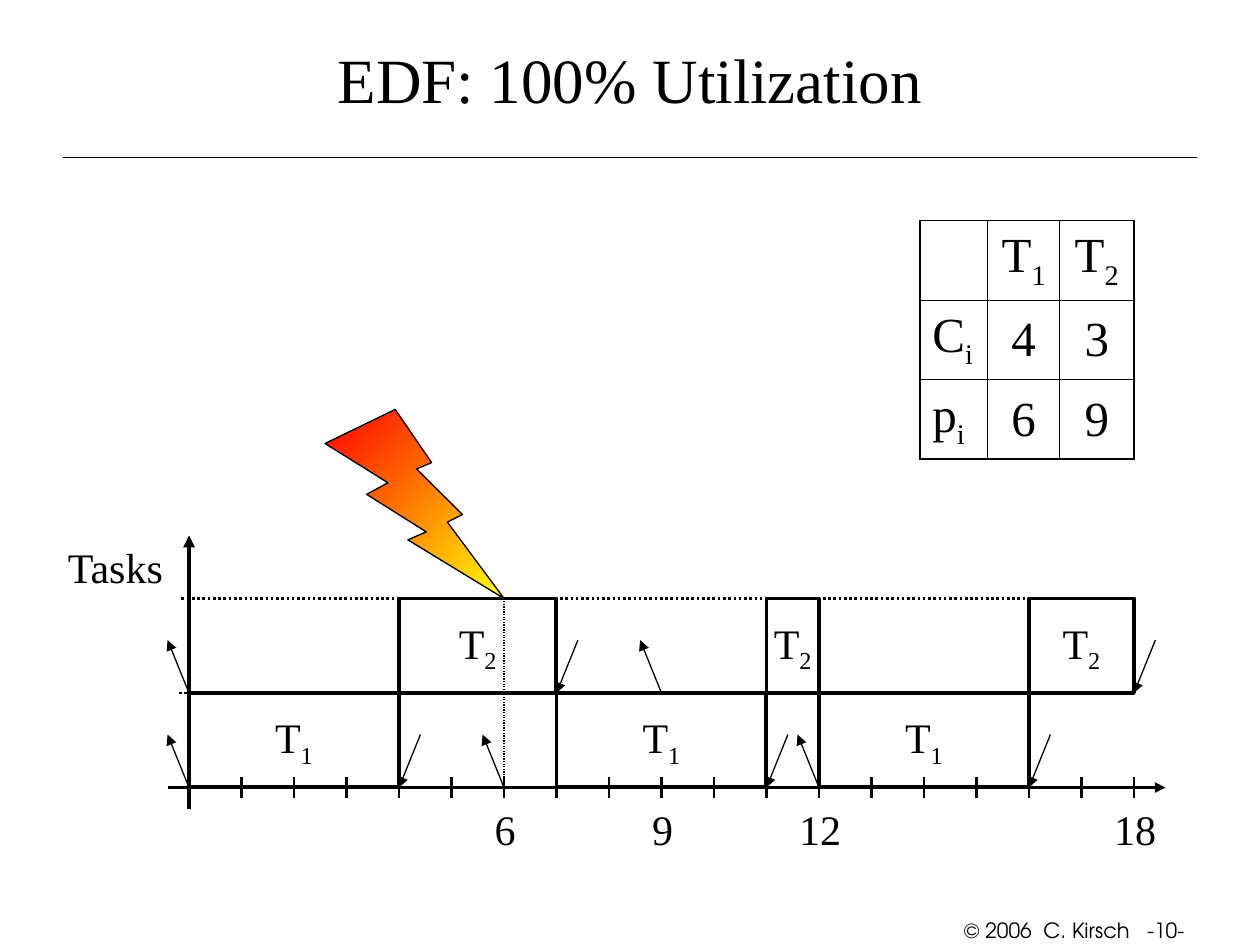
from lxml.etree import SubElement
from pptx import Presentation
from pptx.dml.color import RGBColor
from pptx.enum.dml import MSO_LINE
from pptx.enum.shapes import MSO_CONNECTOR, MSO_SHAPE
from pptx.enum.text import MSO_ANCHOR, PP_ALIGN
from pptx.oxml.ns import qn
from pptx.util import Inches, Pt

BLACK = RGBColor(0, 0, 0)
RED = RGBColor(255, 0, 0)
YELLOW = RGBColor(255, 255, 0)
SERIF = "Times New Roman"
SANS = "TeX Gyre Adventor"

# Content: an underscore marks the start of a subscript
TITLE = "EDF: 100% Utilization"
FOOTER = "© 2006  C. Kirsch   -10-"
PARAMETERS = [["", "T_1", "T_2"], ["C_i", "4", "3"], ["p_i", "6", "9"]]
COLUMN_WIDTHS = [0.54, 0.57, 0.59]
ROW_HEIGHT = 0.63
TASKS = {
    "T_1": {"base": 6.25, "runs": [(0, 4), (7, 11), (12, 16)],
            "releases": [0, 6, 12], "completions": [4, 11, 16]},
    "T_2": {"base": 5.5, "runs": [(4, 7), (11, 12), (16, 18)],
            "releases": [0, 9], "completions": [7, 18]},
}
TIME_LABELS = [6, 9, 12, 18]

# Time axis geometry
ORIGIN, AXIS_Y, LANE = 1.5, 6.25, 0.75
END_TIME = 18
UNIT = 7.5 / END_TIME
ARROW_WIDTH, ARROW_HEIGHT = 0.17, 0.42
LABEL_WIDTH = 0.7


def time_x(time):
    return ORIGIN + time * UNIT


def write(frame, text, size=24, font=SERIF, align=PP_ALIGN.CENTER,
          anchor=MSO_ANCHOR.TOP, wrap=False):
    frame.word_wrap = wrap
    frame.vertical_anchor = anchor
    para = frame.paragraphs[0]
    para.alignment = align
    for index, part in enumerate(text.split("_")):
        span = para.add_run()
        span.text = part
        span.font.size = Pt(size)
        span.font.name = font
        span.font.color.rgb = BLACK
        if index:
            span.font._element.set("baseline", "-25000")


def add_text(page, text, left, top, width, height, **style):
    box = page.shapes.add_textbox(Inches(left), Inches(top),
                                  Inches(width), Inches(height))
    write(box.text_frame, text, **style)


def add_line(page, start, end, width=0.75, arrow=False, dash=None):
    line = page.shapes.add_connector(
        MSO_CONNECTOR.STRAIGHT, *(Inches(value) for value in (*start, *end)))
    line.line.color.rgb = BLACK
    line.line.width = Pt(width)
    if dash:
        line.line.dash_style = dash
    properties = line._element.spPr
    if arrow:
        SubElement(properties.find(qn("a:ln")), qn("a:tailEnd"), type="triangle")
    SubElement(properties, qn("a:effectLst"))


def add_outline(page, kind, left, top, width, height, weight):
    shape = page.shapes.add_shape(kind, Inches(left), Inches(top),
                                  Inches(width), Inches(height))
    shape.shadow.inherit = False
    shape.fill.background()
    shape.line.color.rgb = BLACK
    shape.line.width = Pt(weight)
    return shape


def set_borders(cell, widths):
    properties = cell._tc.get_or_add_tcPr()
    for index, (tag, width) in enumerate(widths.items()):
        border = SubElement(properties, qn(f"a:{tag}"), w=str(Pt(width)))
        properties.insert(index, border)
        fill = SubElement(border, qn("a:solidFill"))
        SubElement(fill, qn("a:srgbClr"), val=str(BLACK))


def add_parameters(page, left, top):
    last = len(PARAMETERS) - 1
    table = page.shapes.add_table(
        last + 1, len(COLUMN_WIDTHS), Inches(left), Inches(top),
        Inches(sum(COLUMN_WIDTHS)), Inches(ROW_HEIGHT * (last + 1))).table
    table.first_row = table.horz_banding = False
    for column, width in zip(table.columns, COLUMN_WIDTHS):
        column.width = Inches(width)
    for r, row in enumerate(PARAMETERS):
        table.rows[r].height = Inches(ROW_HEIGHT)
        for c, text in enumerate(row):
            cell = table.cell(r, c)
            cell.fill.background()
            cell.margin_left = cell.margin_right = Inches(0.1)
            cell.vertical_anchor = MSO_ANCHOR.MIDDLE
            if text:
                write(cell.text_frame, text, size=28, wrap=True,
                      anchor=MSO_ANCHOR.MIDDLE,
                      align=PP_ALIGN.CENTER if c else PP_ALIGN.LEFT)
            outer = {"lnL": c == 0, "lnR": c == last,
                     "lnT": r == 0, "lnB": r == last}
            set_borders(cell, {side: 1.08 if edge else 0.45
                               for side, edge in outer.items()})


def add_axes(page):
    add_line(page, (1.33, AXIS_Y), (9.25, AXIS_Y), width=2, arrow=True)
    add_line(page, (ORIGIN, 6.42), (ORIGIN, 4.25), width=2.25, arrow=True)
    for time in range(1, END_TIME + 1):
        x = time_x(time)
        add_line(page, (x, AXIS_Y - 0.08), (x, AXIS_Y + 0.08), width=1.5)
    for time in TIME_LABELS:
        add_text(page, str(time), time_x(time) - LABEL_WIDTH / 2 + 0.01, 6.33,
                 LABEL_WIDTH, 0.5)
    add_text(page, "Tasks", 0.44, 4.25, 0.98, 0.5, align=PP_ALIGN.LEFT)
    for left, y in ((1.44, 4.75), (1.42, 5.5)):
        add_line(page, (left, y), (8.58, y), width=1.5, dash=MSO_LINE.ROUND_DOT)


def add_schedule(page):
    for name, task in TASKS.items():
        base = task["base"]
        for start, end in task["runs"]:
            bar = add_outline(page, MSO_SHAPE.RECTANGLE, time_x(start),
                              base - LANE, (end - start) * UNIT, LANE, 2.25)
            write(bar.text_frame, name, anchor=MSO_ANCHOR.MIDDLE)
        for time in task["releases"]:
            x = time_x(time)
            add_line(page, (x, base), (x - ARROW_WIDTH, base - ARROW_HEIGHT),
                     arrow=True)
        for time in task["completions"]:
            x = time_x(time)
            add_line(page, (x + ARROW_WIDTH, base - ARROW_HEIGHT), (x, base),
                     arrow=True)


def main():
    deck = Presentation()
    deck.slide_width, deck.slide_height = Inches(10), Inches(7.5)
    page = deck.slides.add_slide(deck.slide_layouts[5])

    # Title, rule and footer
    title = page.shapes.title
    title.left, title.top = Inches(0.75), Inches(0)
    title.width, title.height = Inches(8.5), Inches(1.25)
    write(title.text_frame, TITLE, size=36, anchor=MSO_ANCHOR.MIDDLE, wrap=True)
    add_line(page, (0.5, 1.25), (9.5, 1.25))
    add_text(page, FOOTER, 7.42, 7.23, 2.08, 0.25, size=12, font=SANS,
             align=PP_ALIGN.RIGHT, wrap=True)

    # Task parameters and schedule
    add_parameters(page, 7.3, 1.75)
    add_axes(page)
    add_schedule(page)

    # Preemption decision at time 6
    bolt = add_outline(page, MSO_SHAPE.LIGHTNING_BOLT, 2.58, 3.25, 1.42, 1.5, 0.75)
    bolt.fill.gradient()
    bolt.fill.gradient_angle = 315
    for stop, color in zip(bolt.fill.gradient_stops, (RED, YELLOW)):
        stop.color.rgb = color
    add_line(page, (time_x(6), 4.75), (time_x(6), AXIS_Y), dash=MSO_LINE.ROUND_DOT)

    deck.save("out.pptx")


if __name__ == "__main__":
    main()
